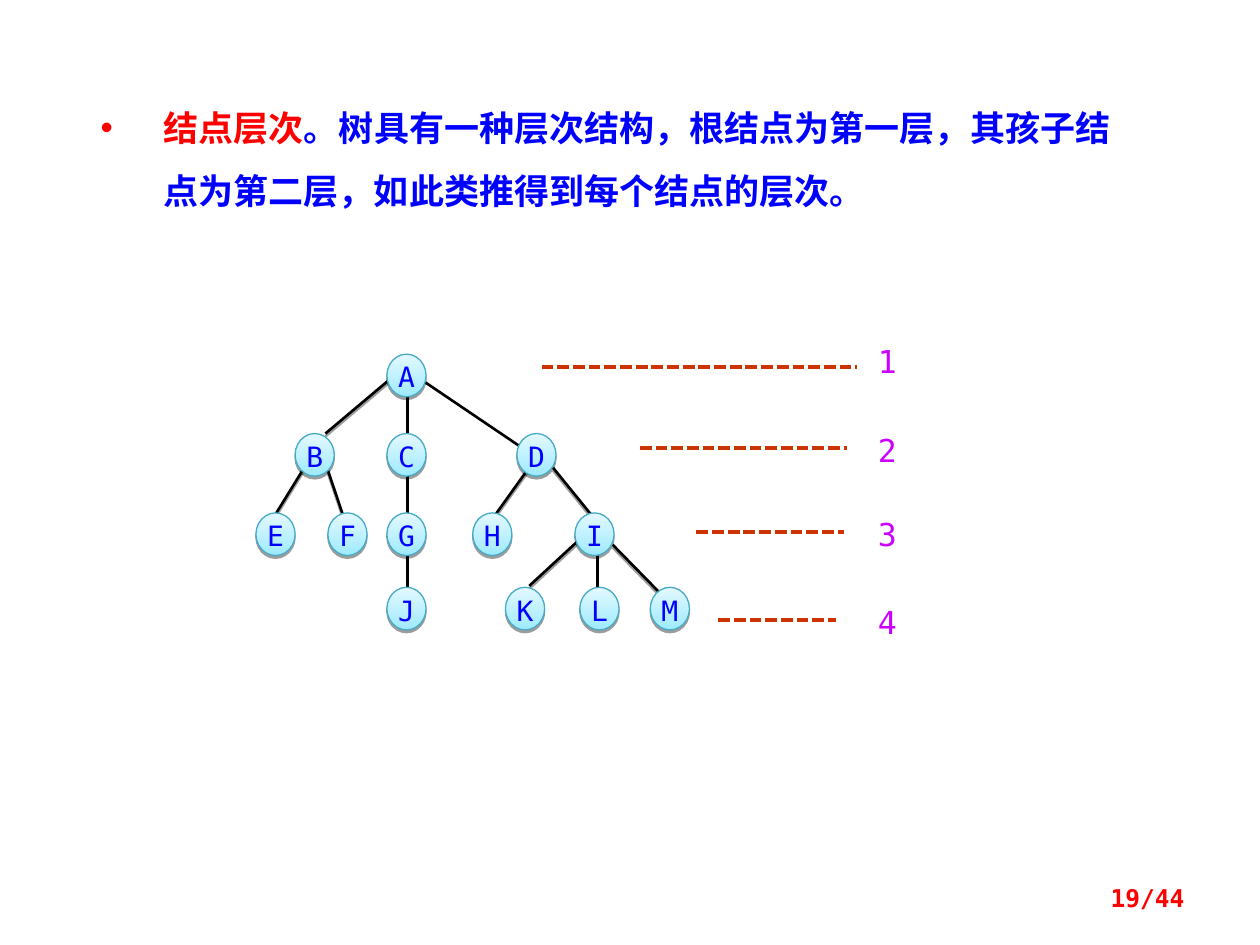
import pptx
import pptx.dml.color
import pptx.enum.dml
import pptx.enum.shapes
import pptx.enum.text
import pptx.oxml
import pptx.oxml.ns
import pptx.util
from pptx.util import Cm, Pt

MONO = "DejaVu Sans Mono"
CHINESE = "Noto Sans CJK SC"
RED, BLUE, BLACK = "FF0000", "0000FF", "000000"
ALIGN = pptx.enum.text.PP_ALIGN
ANCHOR = pptx.enum.text.MSO_ANCHOR
NAMESPACE = pptx.oxml.ns.nsdecls("a")

NODE_WIDTH, NODE_HEIGHT = 0.79, 0.86
# Each row: top, then the left edge of every node, within the tree's box.
TREE_ROWS = [
    (0, {"A": 2.64}),
    (1.6, {"B": 0.79, "C": 2.64, "D": 5.26}),
    (3.2, {"E": 0, "F": 1.45, "G": 2.64, "H": 4.37, "I": 6.43}),
    (4.7, {"J": 2.64, "K": 5.03, "L": 6.53, "M": 7.95}),
]
SHADOWED_EDGES = [
    (2.67, 0.53, 1.4, 1.6),     # A-B
    (0.94, 2.34, 0.38, 3.25),   # B-E
    (1.45, 2.34, 1.8, 3.38),    # B-F
    (5.54, 2.24, 4.78, 3.3),    # D-H
    (5.99, 2.29, 6.81, 3.3),    # D-I
    (6.55, 3.71, 5.51, 4.67),   # I-K
    (7.19, 3.84, 8.13, 4.8),    # I-M
]
PLAIN_EDGES = [
    (3.05, 0.81, 3.05, 4.83),   # A-C-G-J
    (3.4, 0.56, 5.31, 1.85),    # A-D
    (6.88, 4.04, 6.88, 4.83),   # I-L
]
# Label top, dash start, dash end, within the level markers' box.
LEVELS = [(0, 0, 6.35), (1.8, 1.98, 6.15), (3.48, 3.12, 6.1), (5.26, 3.56, 5.94)]


def color(hex_string):
    return pptx.dml.color.RGBColor.from_string(hex_string)


def set_effects(shape, shadow=False):
    """Replace the theme's effects with a soft drop shadow or with none."""
    effects = pptx.oxml.parse_xml(f"<a:effectLst {NAMESPACE}/>")
    if shadow:
        effects.append(pptx.oxml.parse_xml(
            f'<a:outerShdw {NAMESPACE} blurRad="0" dist="20000" dir="5400000" rotWithShape="0">'
            '<a:srgbClr val="000000"><a:alpha val="38000"/></a:srgbClr></a:outerShdw>'))
    shape._element.spPr.append(effects)


def write_text(shape, runs, size, align=ALIGN.LEFT, anchor=ANCHOR.TOP, spacing=1.0,
               bold=False, margins=(0.25, 0.13), bullet=None, indent=0):
    """Write one paragraph from (text, font, colour) runs."""
    frame = shape.text_frame
    frame.word_wrap = True
    frame.vertical_anchor = anchor
    frame.margin_left = frame.margin_right = Cm(margins[0])
    frame.margin_top = frame.margin_bottom = Cm(margins[1])
    paragraph = frame.paragraphs[0]
    paragraph.alignment = align
    paragraph.line_spacing = spacing
    paragraph.space_before = Pt(0)
    if bullet:
        properties = paragraph._p.get_or_add_pPr()
        properties.set("marL", str(Cm(indent)))
        properties.set("indent", str(-Cm(indent)))
        for element in (f'<a:buClr {NAMESPACE}><a:srgbClr val="{RED}"/></a:buClr>',
                        f'<a:buFont {NAMESPACE} typeface="Arial"/>',
                        f'<a:buChar {NAMESPACE} char="{bullet}"/>'):
            properties.append(pptx.oxml.parse_xml(element))
    for text, font_name, hex_string in runs:
        run = paragraph.add_run()
        run.text = text
        run.font.size = Pt(size)
        run.font.bold = bold
        run.font.name = font_name
        run.font.color.rgb = color(hex_string)
        run._r.get_or_add_rPr().append(
            pptx.oxml.parse_xml(f'<a:ea {NAMESPACE} typeface="{font_name}"/>'))


def add_text(slide, left, top, width, height, runs, **text_format):
    box = slide.shapes.add_textbox(Cm(left), Cm(top), Cm(width), Cm(height))
    write_text(box, runs, **text_format)


def add_line(slide, start_x, start_y, end_x, end_y, hex_string, weight, dash=None, shadow=False):
    line = slide.shapes.add_connector(
        pptx.enum.shapes.MSO_CONNECTOR.STRAIGHT,
        Cm(start_x), Cm(start_y), Cm(end_x), Cm(end_y))
    line.line.color.rgb = color(hex_string)
    line.line.width = Pt(weight)
    if dash:
        line.line.dash_style = dash
    set_effects(line, shadow)


def add_node(slide, left, top, letter):
    node = slide.shapes.add_shape(
        pptx.enum.shapes.MSO_SHAPE.OVAL, Cm(left), Cm(top), Cm(NODE_WIDTH), Cm(NODE_HEIGHT))
    node.fill.gradient()
    node.fill.gradient_angle = 90
    for stop, hex_string in zip(node.fill.gradient_stops, ("9EEAFF", "E4F9FF")):
        stop.color.rgb = color(hex_string)
    for stop, position in zip(node.fill.gradient_stops, (0, 1)):
        stop.position = position
    node.line.color.rgb = color("46AAC5")
    node.line.width = Pt(0.75)
    set_effects(node, shadow=True)
    write_text(node, [(letter, MONO, BLUE)], size=16, align=ALIGN.CENTER,
               spacing=Pt(19), margins=(0, 0))


def add_tree(slide, left, top):
    for edges, shadow in ((SHADOWED_EDGES, True), (PLAIN_EDGES, False)):
        for start_x, start_y, end_x, end_y in edges:
            add_line(slide, left + start_x, top + start_y, left + end_x, top + end_y,
                     BLACK, 1.5, shadow=shadow)
    for row_top, nodes in TREE_ROWS:
        for letter, node_left in nodes.items():
            add_node(slide, left + node_left, top + row_top, letter)


def add_level_markers(slide, left, top):
    """Number the tree's levels, with a dashed line leading to each number."""
    for number, (label_top, start, end) in enumerate(LEVELS, 1):
        line_y = top + label_top + (0.48 if number == 1 else 0.33)
        add_text(slide, left + 6.53, top + label_top, 1, 0.86,
                 [(str(number), MONO, "CC00FF")], size=18, spacing=0.8)
        add_line(slide, left + start, line_y, left + end, line_y, "CC3300", 2.25,
                 dash=pptx.enum.dml.MSO_LINE.SQUARE_DOT)


def add_definition(slide, left, top, width, height):
    runs = [
        ("结点层次", CHINESE, RED),
        ("。树具有一种层次结构，根结点为第一层，其孩子结点为第二层，如此类推得到每个结点的层次。",
         MONO, BLUE),
    ]
    add_text(slide, left, top, width, height, runs, size=20, bold=True,
             spacing=1.5, bullet="•", indent=1.27)


def add_page_number(slide, left, top, width, height):
    add_text(slide, left, top, width, height, [("19/44", MONO, RED)], size=14, bold=True,
             align=ALIGN.RIGHT, anchor=ANCHOR.MIDDLE, spacing=0.8)


def main():
    presentation = pptx.Presentation()
    presentation.slide_width = Cm(25.4)
    presentation.slide_height = Cm(19.05)
    slide = presentation.slides.add_slide(presentation.slide_layouts[6])
    add_definition(slide, 1.78, 1.6, 21.03, 2.8)
    add_level_markers(slide, 10.92, 6.91)
    add_tree(slide, 5.16, 7.14)
    add_page_number(slide, 18.21, 17.65, 5.92, 1.02)
    presentation.save("out.pptx")


if __name__ == "__main__":
    main()
